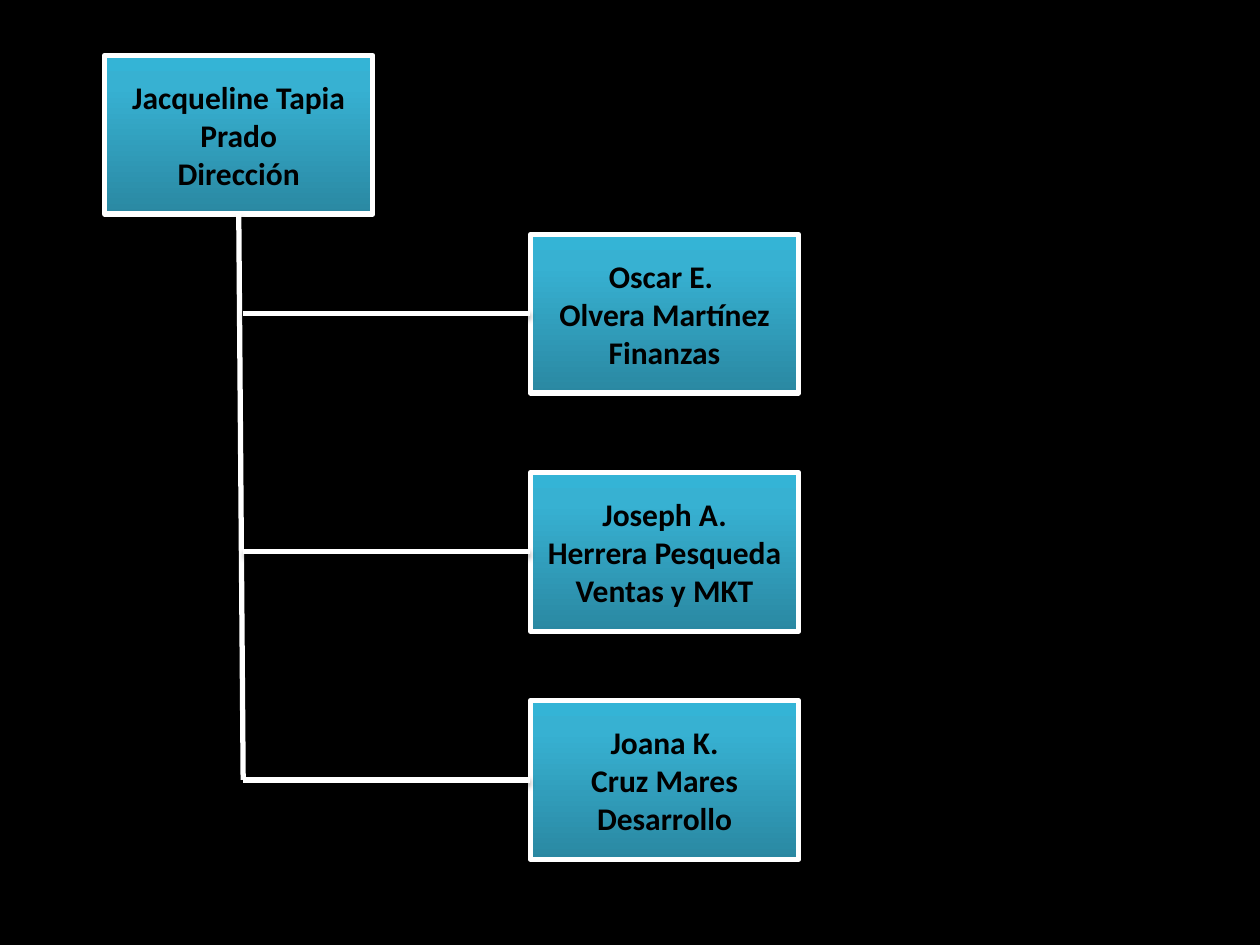
"""Builds an organisation chart slide with a director and three areas."""
import copy

import pptx
import pptx.dml.color
import pptx.enum.shapes
import pptx.enum.text
import pptx.oxml
import pptx.oxml.ns
import pptx.util

COLORS = {"black": "000000", "white": "FFFFFF",
          "dark": "2A88A2", "mid": "37B1D2", "light": "34B4D6"}
RGB = {k: pptx.dml.color.RGBColor.from_string(v) for k, v in COLORS.items()}
STOPS = [(0, "dark"), (0.8, "mid"), (1, "light")]
SHADOW = (
    f'<a:effectLst {pptx.oxml.ns.nsdecls("a")}>'
    '<a:outerShdw blurRad="40000" dist="23000" dir="5400000" rotWithShape="0">'
    f'<a:srgbClr val="{COLORS["black"]}"><a:alpha val="35000"/></a:srgbClr>'
    '</a:outerShdw></a:effectLst>')


def add_text(sp, text, font="Calibri", size=18, color="black", bold=True):
    tf = sp.text_frame
    tf.word_wrap = True
    tf.vertical_anchor = pptx.enum.text.MSO_ANCHOR.MIDDLE
    tf.text = text
    for p in tf.paragraphs:
        p.alignment = pptx.enum.text.PP_ALIGN.CENTER
        for r in p.runs:
            r.font.name = font
            r.font.size = pptx.util.Pt(size)
            r.font.bold = bold
            r.font.color.rgb = RGB[color]


def add_outline(sp):
    sp.line.color.rgb = RGB["white"]
    sp.line.width = pptx.util.Pt(3)
    sp._element.spPr.append(pptx.oxml.parse_xml(SHADOW))


prs = pptx.Presentation()
W = prs.slide_width = pptx.util.Inches(10)
H = prs.slide_height = pptx.util.Inches(7.5)
s = prs.slides.add_slide(prs.slide_layouts[6])
RECT = pptx.enum.shapes.MSO_SHAPE.RECTANGLE
LINE = pptx.enum.shapes.MSO_CONNECTOR.STRAIGHT

backdrop = s.shapes.add_shape(RECT, 0, 0, W, pptx.util.Inches(8))
backdrop.shadow.inherit = False
backdrop.fill.solid()
backdrop.fill.fore_color.rgb = RGB["black"]
backdrop.line.color.rgb = RGB["black"]
backdrop.line.width = pptx.util.Pt(2)

box_w, box_h = pptx.util.Inches(2.13), pptx.util.Inches(1.26)
left_col, right_col = pptx.util.Inches(0.83), pptx.util.Inches(4.21)
director_top = pptx.util.Inches(0.44)
area_tops = [pptx.util.Inches(y) for y in (1.86, 3.75, 5.56)]
people = [
    (left_col, director_top, "Jacqueline Tapia Prado\nDirección"),
    (right_col, area_tops[0], "Oscar E. \nOlvera Martínez\nFinanzas"),
    (right_col, area_tops[1], "Joseph A.\nHerrera Pesqueda\nVentas y MKT"),
    (right_col, area_tops[2], "Joana K.\nCruz Mares\nDesarrollo"),
]
for x, y, text in people:
    sp = s.shapes.add_shape(RECT, x, y, box_w, box_h)
    sp.fill.gradient()
    sp.fill.gradient_angle = 90
    stop_list = sp._element.spPr.find(".//" + pptx.oxml.ns.qn("a:gsLst"))
    stop_list.append(copy.deepcopy(stop_list[-1]))
    for stop, (position, color) in zip(sp.fill.gradient_stops, STOPS):
        stop.position = position
        stop.color.rgb = RGB[color]
    add_outline(sp)
    add_text(sp, text)

trunk_x = pptx.util.Inches(1.93)
middles = [y + box_h // 2 for y in area_tops]
links = [(left_col + box_w // 2, director_top + box_h, trunk_x, middles[-1])]
links += [(right_col, y, trunk_x, y) for y in reversed(middles)]
for ends in links:
    add_outline(s.shapes.add_connector(LINE, *ends))

prs.save("out.pptx")
